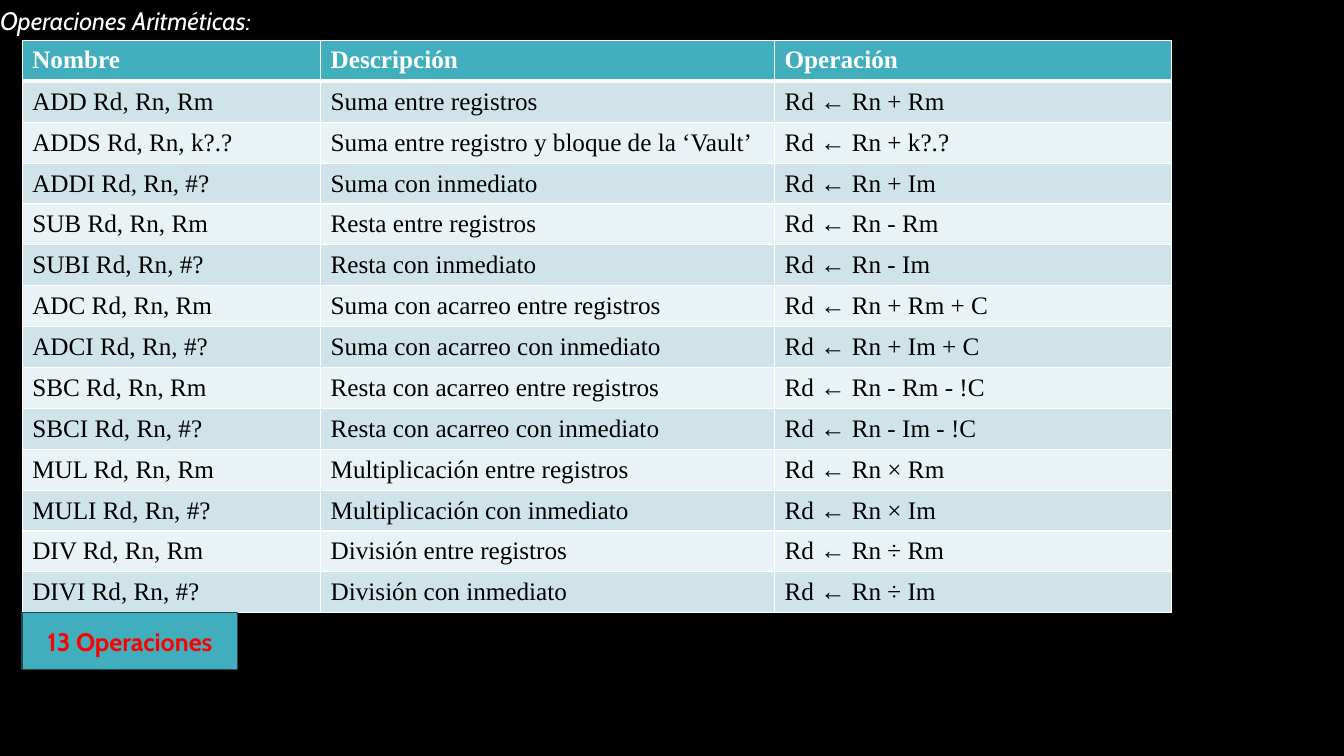
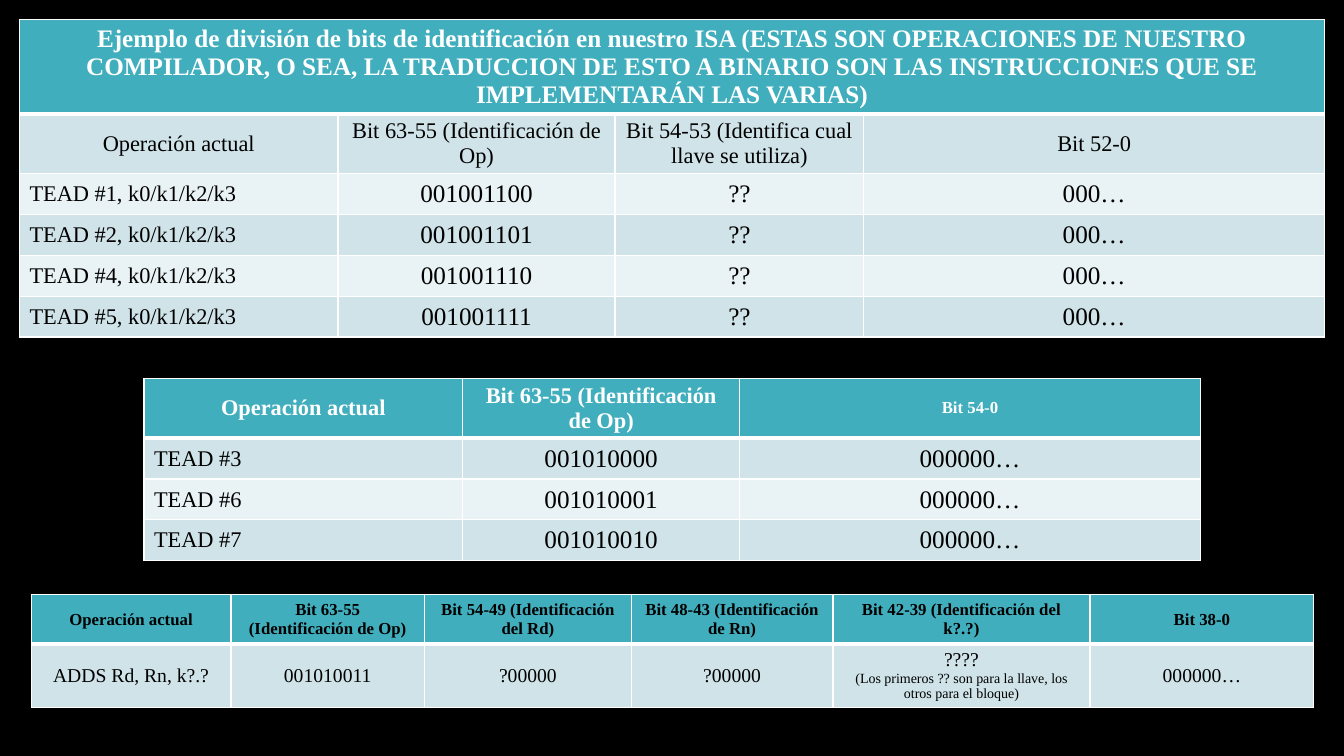
import pptx
import pptx.dml.color
import pptx.enum.shapes
import pptx.enum.text
import pptx.oxml
import pptx.oxml.ns
import pptx.util

Cm = pptx.util.Cm
RGBColor = pptx.dml.color.RGBColor
LEFT = pptx.enum.text.PP_ALIGN.LEFT
CENTER = pptx.enum.text.PP_ALIGN.CENTER
TOP = pptx.enum.text.MSO_ANCHOR.TOP
MIDDLE = pptx.enum.text.MSO_ANCHOR.MIDDLE

# Shared style
BLACK = RGBColor(0x00, 0x00, 0x00)
WHITE = RGBColor(0xFF, 0xFF, 0xFF)
RED = RGBColor(0xFF, 0x00, 0x00)
TEAL = RGBColor(0x41, 0xAE, 0xBD)
DARK_TEAL = RGBColor(0x1C, 0x4C, 0x53)
BAND_DARK = RGBColor(0xCF, 0xE3, 0xE8)
BAND_LIGHT = RGBColor(0xE9, 0xF2, 0xF4)
TITLE_FONT = "Cabin"
TABLE_FONT = "Times New Roman"
ROW_HEIGHT = 1.03
TITLE_ONLY, BLANK = 5, 6


def write(frame, text, size=18, font=TABLE_FONT, color=BLACK, bold=False,
          italic=False, align=LEFT, append=False):
    """Write one paragraph, either the first or a further one."""
    paragraph = frame.add_paragraph() if append else frame.paragraphs[0]
    paragraph.text = text
    paragraph.alignment = align
    paragraph.font.size = pptx.util.Pt(size)
    paragraph.font.name = font
    paragraph.font.color.rgb = color
    paragraph.font.bold = bold
    paragraph.font.italic = italic


def set_border(cell, side, width):
    """Draw one white side (L, R, T or B) of a cell."""
    properties = cell._tc.get_or_add_tcPr()
    line = pptx.oxml.parse_xml(
        f'<a:ln{side} {pptx.oxml.ns.nsdecls("a")} w="{pptx.util.Pt(width)}">'
        f'<a:solidFill><a:srgbClr val="{WHITE}"/></a:solidFill></a:ln{side}>')
    properties.insert("LRTB".index(side), line)


class Deck:
    """The presentation, its style and the slide being filled."""

    def __init__(self):
        self.presentation = pptx.Presentation()
        self.presentation.slide_width = Cm(33.87)
        self.presentation.slide_height = Cm(19.05)
        background = self.presentation.slide_master.background.fill
        background.solid()
        background.fore_color.rgb = BLACK
        self.slide = None

    def new_slide(self, layout):
        layouts = self.presentation.slide_layouts
        self.slide = self.presentation.slides.add_slide(layouts[layout])

    def title(self, text):
        shape = self.slide.shapes.title
        shape.left, shape.top = Cm(0), Cm(0)
        shape.width, shape.height = Cm(7.8), Cm(1.02)
        frame = shape.text_frame
        frame.auto_size = pptx.enum.text.MSO_AUTO_SIZE.NONE
        frame.margin_left = 0
        frame.vertical_anchor = TOP
        write(frame, text, font=TITLE_FONT, color=WHITE, italic=True)

    def label(self, text, left, top, width, height):
        shape = self.slide.shapes.add_shape(
            pptx.enum.shapes.MSO_SHAPE.RECTANGLE,
            Cm(left), Cm(top), Cm(width), Cm(height))
        shape.shadow.inherit = False
        shape.fill.solid()
        shape.fill.fore_color.rgb = TEAL
        shape.line.color.rgb = DARK_TEAL
        shape.line.width = pptx.util.Pt(1)
        shape.text_frame.vertical_anchor = MIDDLE
        write(shape.text_frame, text, font=TITLE_FONT, color=RED, bold=True,
              align=CENTER)

    def table(self, left, top, widths, heights, rows, header, columns,
              header_anchor=MIDDLE, exceptions=None):
        """Add a banded table; columns and exceptions hold text formats."""
        exceptions = exceptions or {}
        table = self.slide.shapes.add_table(
            len(rows), len(widths), Cm(left), Cm(top),
            Cm(sum(widths)), Cm(sum(heights))).table
        for column, width in zip(table.columns, widths):
            column.width = Cm(width)
        for row, height in zip(table.rows, heights):
            row.height = Cm(height)

        for i in range(len(rows)):
            fill = TEAL if i == 0 else (BAND_LIGHT, BAND_DARK)[i % 2]
            for j in range(len(widths)):
                cell = table.cell(i, j)
                cell.fill.solid()
                cell.fill.fore_color.rgb = fill
                cell.vertical_anchor = header_anchor if i == 0 else MIDDLE
                for side in "LRTB":
                    under_header = (i, side) in ((0, "B"), (1, "T"))
                    set_border(cell, side, 3 if under_header else 1)

        # A header with a single text spans the whole table
        if len(rows[0]) == 1:
            table.cell(0, 0).merge(table.cell(0, len(widths) - 1))
        for i, texts in enumerate(rows):
            for j, text in enumerate(texts):
                style = header if i == 0 else columns[j]
                style = {**style, **exceptions.get((i, j), {})}
                write(table.cell(i, j).text_frame, text, **style)
        return table


def arithmetic_slide(deck):
    deck.new_slide(TITLE_ONLY)
    deck.title("Operaciones Aritméticas:")
    rows = [
        ("Nombre", "Descripción", "Operación"),
        ("ADD Rd, Rn, Rm", "Suma entre registros", "Rd ← Rn + Rm"),
        ("ADDS Rd, Rn, k?.?", "Suma entre registro y bloque de la ‘Vault’",
         "Rd ← Rn + k?.?"),
        ("ADDI Rd, Rn, #?", "Suma con inmediato", "Rd ← Rn + Im"),
        ("SUB Rd, Rn, Rm", "Resta entre registros", "Rd ← Rn - Rm"),
        ("SUBI Rd, Rn, #?", "Resta con inmediato", "Rd ← Rn - Im"),
        ("ADC Rd, Rn, Rm", "Suma con acarreo entre registros",
         "Rd ← Rn + Rm + C"),
        ("ADCI Rd, Rn, #?", "Suma con acarreo con inmediato",
         "Rd ← Rn + Im + C"),
        ("SBC Rd, Rn, Rm", "Resta con acarreo entre registros",
         "Rd ← Rn - Rm - !C"),
        ("SBCI Rd, Rn, #?", "Resta con acarreo con inmediato",
         "Rd ← Rn - Im - !C"),
        ("MUL Rd, Rn, Rm", "Multiplicación entre registros", "Rd ← Rn × Rm"),
        ("MULI Rd, Rn, #?", "Multiplicación con inmediato", "Rd ← Rn × Im"),
        ("DIV Rd, Rn, Rm", "División entre registros", "Rd ← Rn ÷ Rm"),
        ("DIVI Rd, Rn, #?", "División con inmediato", "Rd ← Rn ÷ Im"),
    ]
    deck.table(0.56, 1.02, (7.52, 11.44, 10), [ROW_HEIGHT] * len(rows), rows,
               header={"color": WHITE, "bold": True}, columns=[{}] * 3,
               header_anchor=TOP)
    deck.label("13 Operaciones", 0.56, 15.44, 5.43, 1.43)


def bits_slide(deck):
    deck.new_slide(BLANK)
    name = {"size": 16}
    bits = {"align": CENTER}
    caption = {"size": 16, "align": CENTER}
    white_header = {"color": WHITE, "bold": True, "align": CENTER}

    # Operations with a key
    rows = [
        ("Ejemplo de división de bits de identificación en nuestro ISA "
         "(ESTAS SON OPERACIONES DE NUESTRO COMPILADOR, O SEA, LA TRADUCCION "
         "DE ESTO A BINARIO SON LAS INSTRUCCIONES QUE SE IMPLEMENTARÁN LAS "
         "VARIAS)",),
        ("Operación actual", "Bit 63-55 (Identificación de Op)",
         "Bit 54-53 (Identifica cual llave se utiliza)", "Bit 52-0"),
    ]
    for number, code in ((1, "001001100"), (2, "001001101"),
                         (4, "001001110"), (5, "001001111")):
        rows.append((f"TEAD #{number}, k0/k1/k2/k3", code, "??", "000…"))
    deck.table(0.49, 0.5, (8.03, 6.98, 6.27, 11.61),
               [2.36, 1.51] + [ROW_HEIGHT] * 4, rows,
               header=white_header, columns=[name, bits, bits, bits],
               exceptions={(1, j): caption for j in range(4)})

    # Operations without a key
    rows = [
        ("Operación actual", "Bit 63-55 (Identificación de Op)", "Bit 54-0"),
        ("TEAD #3", "001010000", "000000…"),
        ("TEAD #6", "001010001", "000000…"),
        ("TEAD #7", "001010010", "000000…"),
    ]
    deck.table(3.63, 9.53, (8.03, 6.98, 11.61), [1.51] + [ROW_HEIGHT] * 3,
               rows, header={**white_header, "size": 16},
               columns=[name, bits, bits], exceptions={(0, 2): {"size": 12}})

    # Addition with a block of the vault
    rows = [
        ("Operación actual", "Bit 63-55 (Identificación de Op)",
         "Bit 54-49 (Identificación del Rd)",
         "Bit 48-43 (Identificación de Rn)",
         "Bit 42-39 (Identificación del k?.?)", "Bit 38-0"),
        ("ADDS Rd, Rn, k?.?", "001010011", "?00000", "?00000", "????",
         "000000…"),
    ]
    table = deck.table(0.79, 14.99, (5.03, 4.88, 5.21, 5.08, 6.48, 5.64),
                       [1.24, 1.59], rows,
                       header={"size": 12, "bold": True, "align": CENTER},
                       columns=[{"size": 14, "align": CENTER}] * 6)
    write(table.cell(1, 4).text_frame,
          "(Los primeros ?? son para la llave, los otros para el bloque)",
          size=10, align=CENTER, append=True)


def main():
    deck = Deck()
    arithmetic_slide(deck)
    bits_slide(deck)
    deck.presentation.save("out.pptx")


if __name__ == "__main__":
    main()
